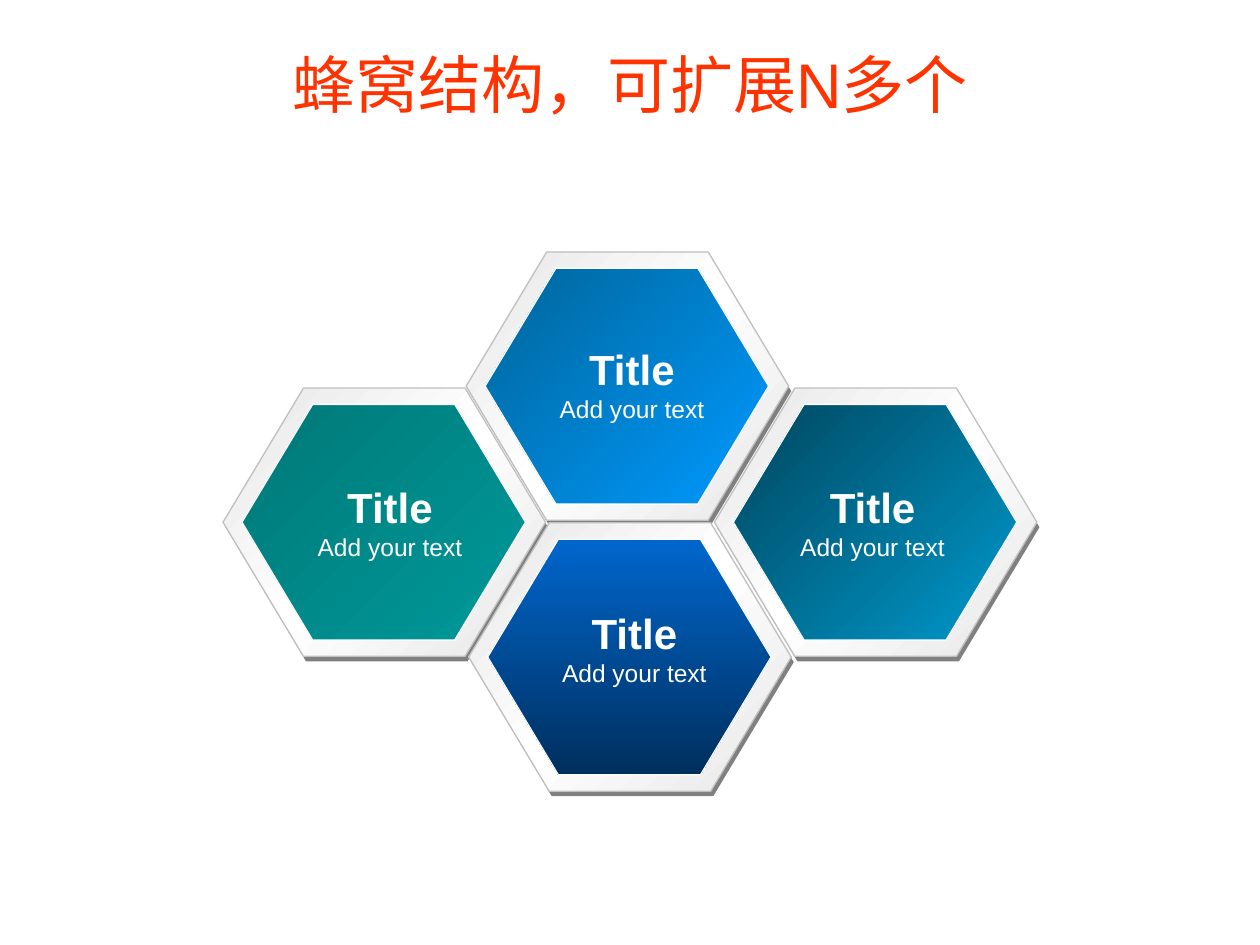
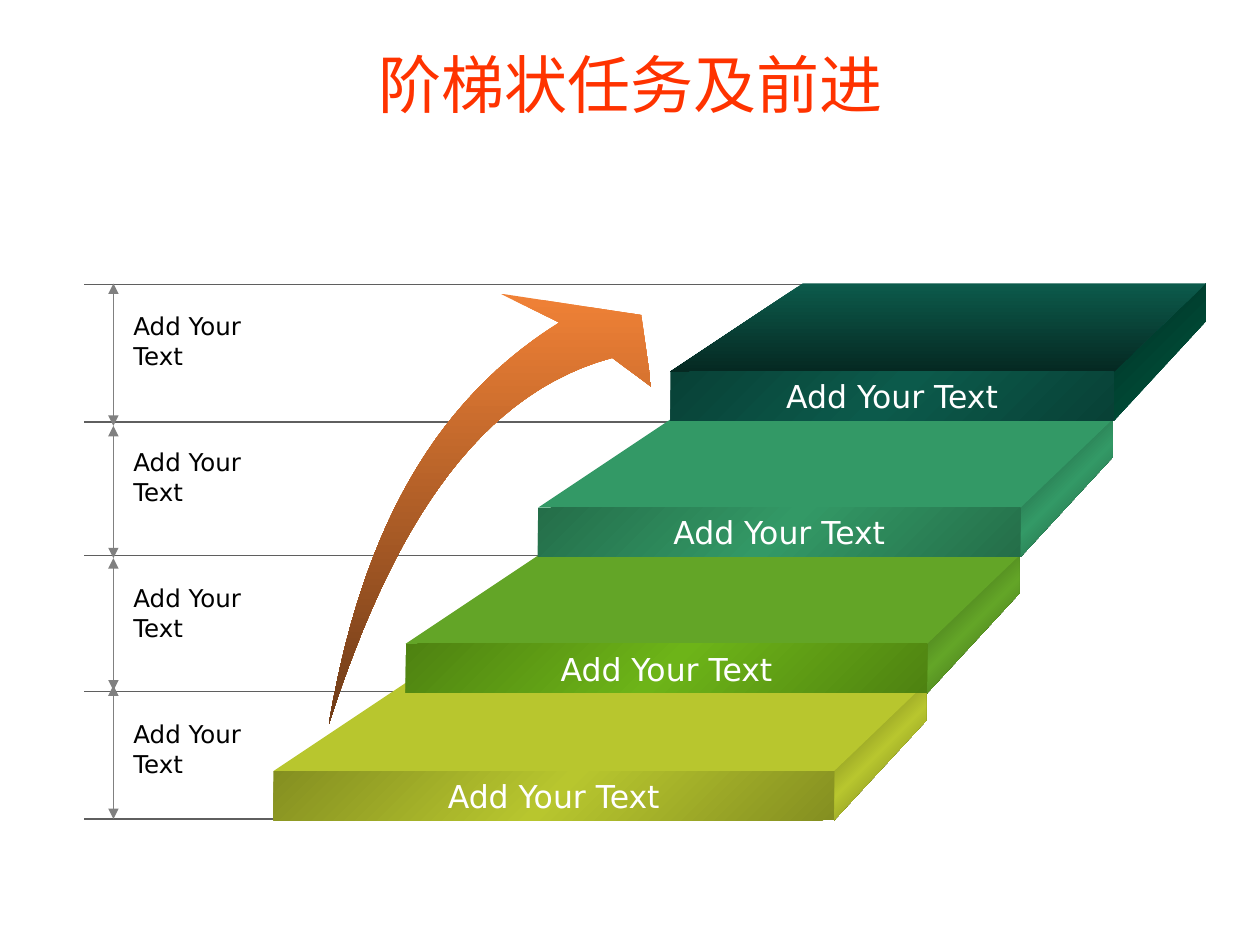
import pptx
import pptx.util
import pptx.dml.color
import pptx.enum.shapes
import pptx.enum.text
import pptx.oxml.ns
from lxml import etree

Inches = pptx.util.Inches
SHAPE = pptx.enum.shapes.MSO_SHAPE
ALIGN = pptx.enum.text.PP_ALIGN
ANCHOR = pptx.enum.text.MSO_ANCHOR
qn = pptx.oxml.ns.qn


def colour(target, value):
    target.rgb = pptx.dml.color.RGBColor.from_string(value)


def paint(shape, stops, angle=225, outline=None):
    shape.shadow.inherit = False
    if len(stops) == 1:
        shape.fill.solid()
        colour(shape.fill.fore_color, stops[0])
    else:
        shape.fill.gradient()
        shape.fill.gradient_angle = 360 - angle
        stop_list = shape._element.spPr.find(qn("a:gradFill")).find(qn("a:gsLst"))
        for stop in list(stop_list):
            stop_list.remove(stop)
        for index, value in enumerate(stops):
            position = round(100000 * index / (len(stops) - 1))
            stop = etree.SubElement(stop_list, qn("a:gs"), pos=str(position))
            etree.SubElement(stop, qn("a:srgbClr"), val=value)
    if outline:
        colour(shape.line.color, outline)
        shape.line.width = pptx.util.Pt(0.75)
    else:
        shape.line.fill.background()


TITLE = {"name": "Arial", "size": pptx.util.Pt(36), "bold": False}
CELL_HEAD = {"name": "Arial", "size": pptx.util.Pt(24), "bold": True}
CELL_BODY = {"name": "Arial", "size": pptx.util.Pt(14), "bold": False}
STEP = {"name": "DejaVu Sans", "size": pptx.util.Pt(18), "bold": False}
LABEL = {"name": "DejaVu Sans", "size": pptx.util.Pt(14), "bold": False}
FRAMES = {
    "title": {"vertical_anchor": ANCHOR.MIDDLE, "word_wrap": True},
    "cell": {"vertical_anchor": ANCHOR.TOP, "word_wrap": False},
    "step": {"vertical_anchor": ANCHOR.MIDDLE, "word_wrap": False},
    "label": {"vertical_anchor": ANCHOR.TOP, "word_wrap": True},
}
texts = []

deck = pptx.Presentation()
deck.slide_width, deck.slide_height = Inches(10), Inches(7.5)
slides = []
for heading in ["蜂窝结构，可扩展N多个", "阶梯状任务及前进"]:
    slide = deck.slides.add_slide(deck.slide_layouts[5])
    title = slide.shapes.title
    title.left, title.top = Inches(0), Inches(0.25)
    title.width, title.height = Inches(10), Inches(0.83)
    title.text_frame.auto_size = pptx.enum.text.MSO_AUTO_SIZE.NONE
    texts.append((title.text_frame, "title", [(heading, TITLE)], "FF3300", ALIGN.CENTER))
    slides.append(slide)
honeycomb, stairs = [slide.shapes for slide in slides]

RIM = ["E6E6E6", "FFFFFF", "E6E6E6"]
cells = [
    (3.70, 2.00, 4.34, 2.68, ["0099FF", "006699"], 225),
    (1.77, 3.08, 2.42, 3.77, ["009999", "007878"], 225),
    (5.67, 3.08, 6.25, 3.77, ["0099CC", "00465E"], 225),
    (3.72, 4.15, 4.36, 4.77, ["0066CC", "002F5E"], 90),
]
for left, top, text_left, text_top, core, core_angle in cells:
    layers = [
        (0.02, 0.04, 2.56, 2.13, ["808080"], 225, None),
        (0, 0, 2.56, 2.13, RIM, 225, "C0C0C0"),
        (0.15, 0.13, 2.25, 1.87, core, core_angle, "FEFEFE"),
    ]
    for dx, dy, width, height, stops, angle, outline in layers:
        hexagon = honeycomb.add_shape(
            SHAPE.HEXAGON, Inches(left + dx), Inches(top + dy), Inches(width), Inches(height))
        hexagon.adjustments[0] = 0.3
        paint(hexagon, stops, angle, outline)
    caption = honeycomb.add_textbox(
        Inches(text_left), Inches(text_top), Inches(1.35), Inches(0.74))
    lines = [("Title", CELL_HEAD), ("Add your text", CELL_BODY)]
    texts.append((caption.text_frame, "cell", lines, "FFFFFF", ALIGN.CENTER))

STEP_LEFT, STEP_SHIFT = 2.17, 1.05
levels = [(0.67, y, STEP_LEFT + STEP_SHIFT * i, y, "5F5F5F")
          for i, y in enumerate([6.5, 5.49, 4.41, 3.35, 2.26])]
spans = [(0.9, start, 0.9, end, "808080")
         for start, end in [(2.25, 3.38), (3.38, 4.43), (4.43, 5.48), (5.44, 6.5)]]
for x1, y1, x2, y2, tone in levels + spans:
    rule = stairs.add_connector(
        pptx.enum.shapes.MSO_CONNECTOR.STRAIGHT, Inches(x1), Inches(y1), Inches(x2), Inches(y2))
    colour(rule.line.color, tone)
    rule.line.width = pptx.util.Pt(0.75)
    if x1 == x2:
        for end in ["a:headEnd", "a:tailEnd"]:
            etree.SubElement(rule.line._get_or_add_ln(), qn(end), type="triangle")
    etree.SubElement(rule._element.spPr, qn("a:effectLst"))

outer_edge = [(2.61, 5.75), (2.87, 4.21), (3.45, 3.18), (4.44, 2.56)]
arrow_head = [(3.97, 2.33), (5.09, 2.5), (5.17, 3.07)]
inner_edge = [(4.86, 2.84), (3.74, 3.14), (3.08, 4.29), (2.61, 5.75)]
edges = []
for curve in [outer_edge, inner_edge]:
    edge = []
    for t in [n / 28 for n in range(29)]:
        weights = [(1 - t) ** 3, 3 * t * (1 - t) ** 2, 3 * t ** 2 * (1 - t), t ** 3]
        edge.append([sum(w * point[axis] for w, point in zip(weights, curve))
                     for axis in (0, 1)])
    edges.append(edge)
outlines = [(edges[0] + arrow_head + edges[1], ["F08136", "6E3B18"], 90)]

steps = [
    (6.12, ["B8C62E"], ["545B15", "B8C62E", "545B15"], ["848F21", "B8C62E", "848F21"]),
    (5.11, ["63A527"], ["2D4C11", "63A527", "2D4C11"], ["4E8211", "6DB418", "4E8211"]),
    (4.03, ["339966"], ["17462F", "339966", "17462F"], ["246E49", "339966", "246E49"]),
    (2.95, ["0C5A4B", "052922"], ["00563F", "003124"], ["084136", "0C5A4B", "084136"]),
]
FRONT_HEIGHT, DEPTH, SIDE = 0.39, 0.7, 0.73
for i, (top, tread, side, front) in enumerate(steps):
    left, right = STEP_LEFT + STEP_SHIFT * i, 6.62 + 0.74 * i
    back = top - DEPTH
    outlines += [
        ([(right, top + FRONT_HEIGHT), (right, top), (right + SIDE, back),
          (right + SIDE, back + 0.3)], side, 225),
        ([(left, top), (left + STEP_SHIFT, back), (right + SIDE, back), (right, top)],
         tread, 90),
        ([(left, top), (right, top), (right, top + FRONT_HEIGHT),
          (left, top + FRONT_HEIGHT)], front, 225),
    ]
for points, stops, angle in outlines:
    if stops in [front for _, _, _, front in steps]:
        (left, top), (right, bottom) = points[0], points[2]
        face = stairs.add_shape(
            SHAPE.RECTANGLE, Inches(left), Inches(top), Inches(right - left), Inches(bottom - top))
        texts.append((face.text_frame, "step", [("Add Your Text", STEP)], "FFFFFF", ALIGN.CENTER))
    else:
        corners = [(Inches(x), Inches(y)) for x, y in points]
        builder = stairs.build_freeform(*corners[0])
        builder.add_line_segments(corners[1:], close=True)
        face = builder.convert_to_shape()
    paint(face, stops, angle)

for i in range(4):
    label = stairs.add_textbox(Inches(0.96), Inches(2.42 + 1.08 * i), Inches(1.48), Inches(0.34))
    texts.append((label.text_frame, "label", [("Add Your Text", LABEL)], "000000", ALIGN.LEFT))

for frame, kind, lines, tone, align in texts:
    for attribute, value in FRAMES[kind].items():
        setattr(frame, attribute, value)
    for i, (words, font) in enumerate(lines):
        paragraph = frame.add_paragraph() if i else frame.paragraphs[0]
        paragraph.alignment = align
        run = paragraph.add_run()
        run.text = words
        for attribute, value in font.items():
            setattr(run.font, attribute, value)
        colour(run.font.color, tone)

deck.save("out.pptx")
